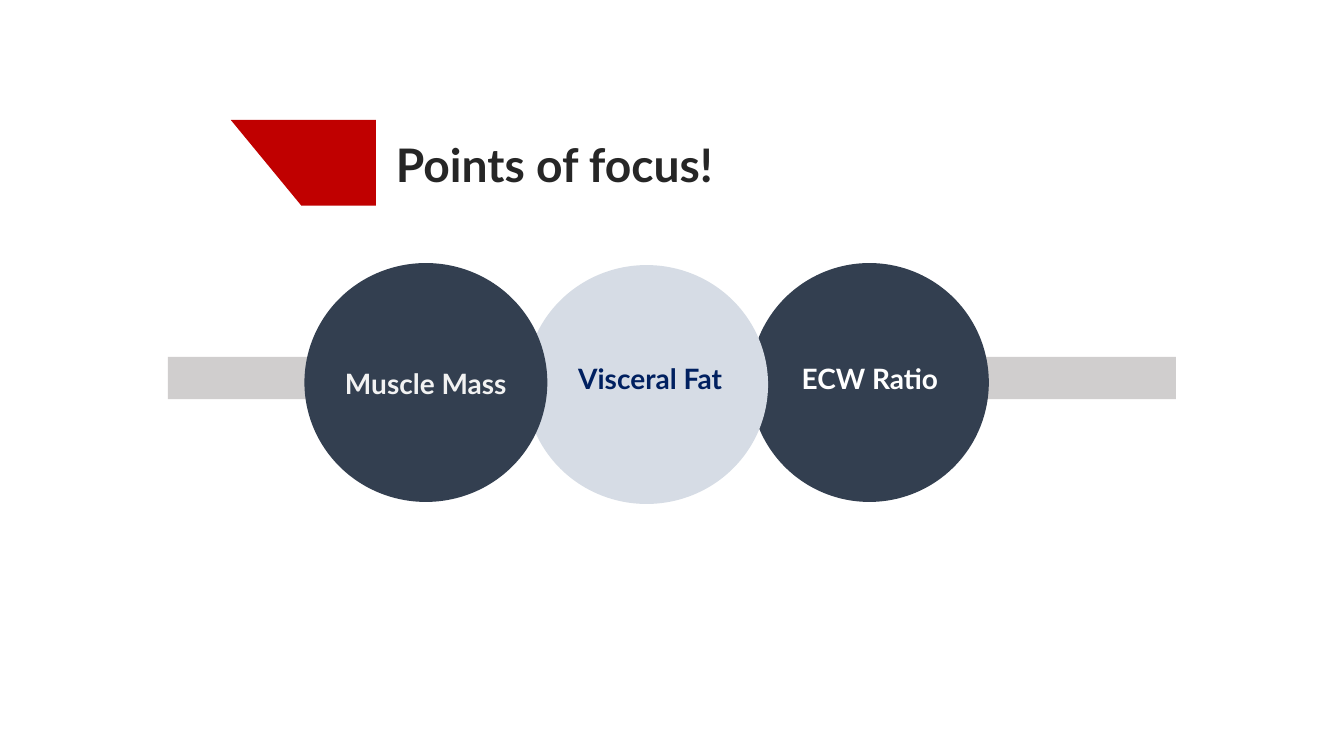
import dataclasses
import typing

import pptx
import pptx.dml.color
import pptx.enum.shapes
import pptx.enum.text
import pptx.util

# The slide is a grid of 40 columns by 22.5 rows of square cells
COLUMNS, ROWS = 40, 22.5
CELL = pptx.util.Inches(1) / 3

SHAPES = pptx.enum.shapes.MSO_SHAPE
ALIGN = pptx.enum.text.PP_ALIGN


@dataclasses.dataclass(frozen=True)
class Theme:
    font: str = "Lato"
    title_size: int = 33
    label_size: int = 20
    heading: str = "262626"
    ribbon: str = "C00000"
    bar: str = "D0CECE"
    dark: str = "333F50"
    pale: str = "D6DCE5"
    navy: str = "002060"
    off_white: str = "F2F2F2"
    white: str = "FFFFFF"


class Area(typing.NamedTuple):
    column: float
    row: float
    columns: float
    rows: float


class Caption(typing.NamedTuple):
    text: str
    area: Area
    colour: str


class Disc(typing.NamedTuple):
    area: Area
    fill: str
    caption: Caption


THEME = Theme()

BAR = Area(5, 10.62, 30, 1.26)
RIBBON = [(6.87, 3.57), (11.19, 3.57), (11.19, 6.12), (8.97, 6.12)]
TITLE = Caption("Points of focus!", Area(11.49, 3.9, 12.81, 1.98), THEME.heading)

MUSCLE = Disc(Area(9.06, 7.83, 7.23, 7.11), THEME.dark,
              Caption("Muscle Mass", Area(9.93, 10.77, 5.49, 2.31), THEME.off_white))
VISCERAL = Disc(Area(15.63, 7.89, 7.23, 7.11), THEME.pale,
                Caption("Visceral Fat", Area(16.71, 10.62, 5.28, 1.32), THEME.navy))
WATER = Disc(Area(22.32, 7.83, 7.11, 7.11), THEME.dark,
             Caption("ECW Ratio", Area(23.49, 10.62, 4.8, 1.32), THEME.white))


def cells(count: float) -> int:
    return round(count * CELL)


def rgb(colour: str) -> pptx.dml.color.RGBColor:
    return pptx.dml.color.RGBColor.from_string(colour)


def paint(shape, colour: str) -> None:
    shape.shadow.inherit = False
    shape.fill.solid()
    shape.fill.fore_color.rgb = rgb(colour)
    shape.line.fill.background()


def draw_shape(slide, kind: SHAPES, area: Area, colour: str) -> None:
    paint(slide.shapes.add_shape(kind, *map(cells, area)), colour)


def draw_outline(slide, corners: list[tuple[float, float]], colour: str) -> None:
    start, *rest = [(cells(x), cells(y)) for x, y in corners]
    outline = slide.shapes.build_freeform(*start)
    outline.add_line_segments(rest, close=True)
    paint(outline.convert_to_shape(), colour)


def write(slide, caption: Caption, size: int, alignment: ALIGN) -> None:
    frame = slide.shapes.add_textbox(*map(cells, caption.area)).text_frame
    frame.word_wrap = True
    paragraph = frame.paragraphs[0]
    paragraph.alignment = alignment
    run = paragraph.add_run()
    run.text = caption.text
    font_format = {"name": THEME.font, "size": pptx.util.Pt(size), "bold": True}
    for attribute, value in font_format.items():
        setattr(run.font, attribute, value)
    run.font.color.rgb = rgb(caption.colour)


def main() -> None:
    deck = pptx.Presentation()
    deck.slide_width, deck.slide_height = cells(COLUMNS), cells(ROWS)
    slide = deck.slides.add_slide(deck.slide_layouts[6])

    # Bar behind the discs
    draw_shape(slide, SHAPES.RECTANGLE, BAR, THEME.bar)

    # Heading with its ribbon
    draw_outline(slide, RIBBON, THEME.ribbon)
    write(slide, TITLE, THEME.title_size, ALIGN.LEFT)

    # Overlapping discs, the leftmost in front
    for disc in (WATER, VISCERAL, MUSCLE):
        draw_shape(slide, SHAPES.OVAL, disc.area, disc.fill)

    # Labels above all discs
    for disc in (MUSCLE, VISCERAL, WATER):
        write(slide, disc.caption, THEME.label_size, ALIGN.CENTER)

    deck.save("out.pptx")


if __name__ == "__main__":
    main()
